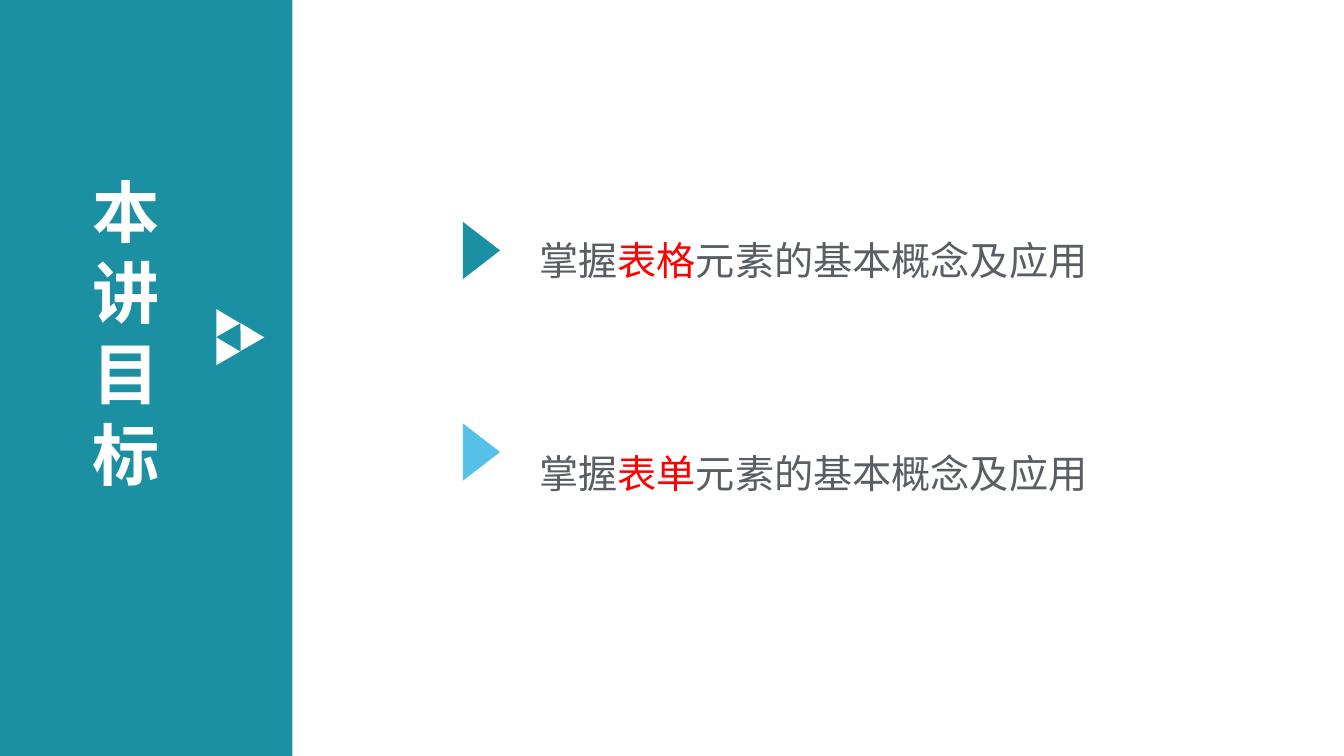
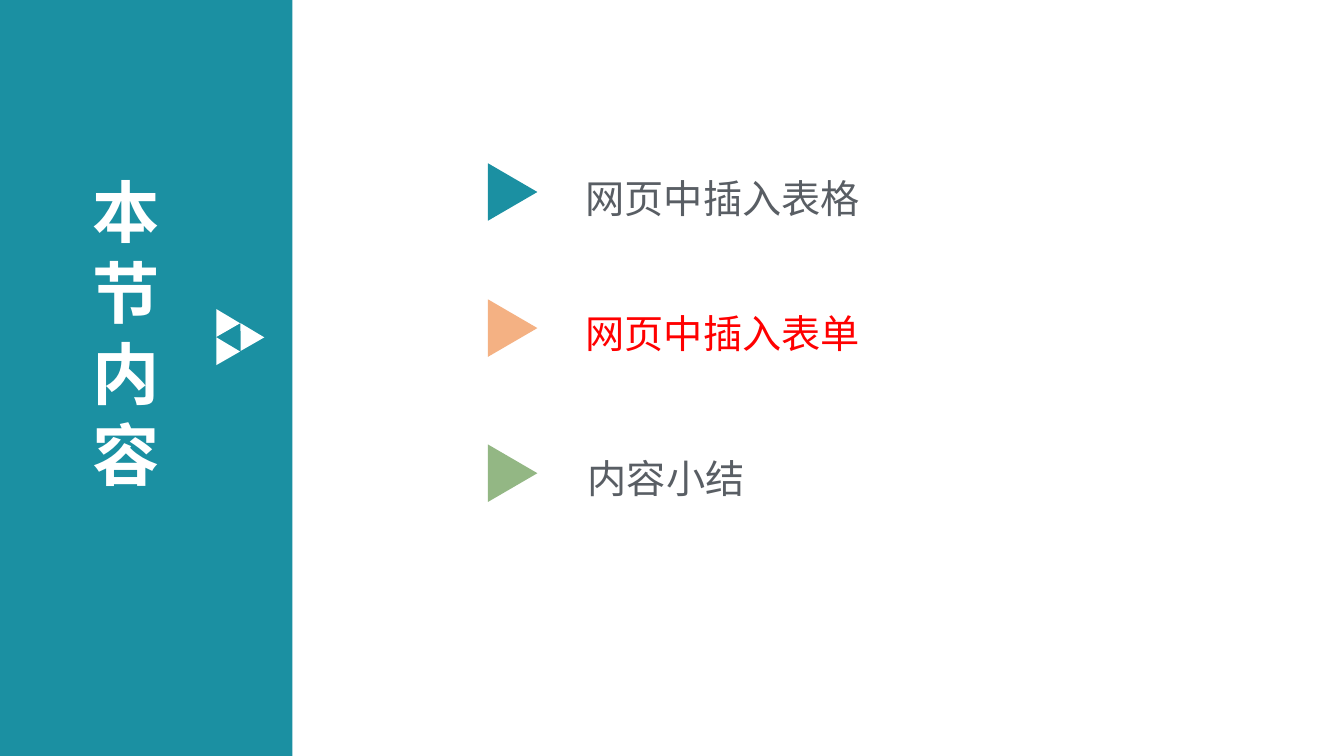
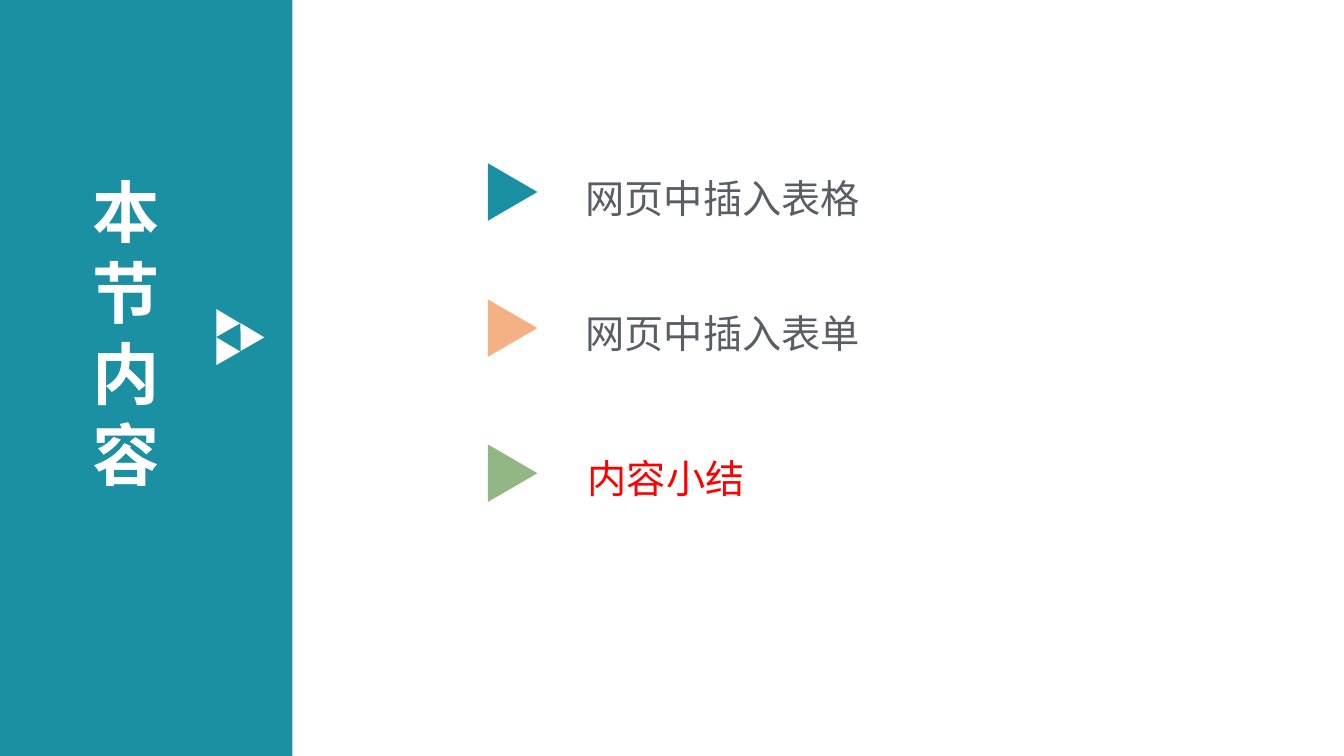
import pptx
import pptx.util
import pptx.dml.color
import pptx.enum.shapes
import pptx.enum.text
import pptx.oxml.ns
from lxml import etree

PX = 9144  # 100 px to the inch
FONT = "Noto Sans CJK SC"
TEAL, SKY, ORANGE, GREEN = "1B90A2", "55C1E7", "F4B183", "93B784"
WHITE, GREY, RED = "FFFFFF", "595E64", "FF0000"
SHAPE = pptx.enum.shapes.MSO_SHAPE


def px(*lengths):
    return [pptx.util.Emu(n * PX) for n in lengths]


def rgb(value):
    return pptx.dml.color.RGBColor.from_string(value)


def set_text(sp, runs, size=28, bold=False, line=36, inset=(10, 5)):
    """Fill sp with one paragraph of (text, colour) runs; line is the pitch in points."""
    tf = sp.text_frame
    tf.word_wrap = True
    tf.auto_size = pptx.enum.text.MSO_AUTO_SIZE.NONE
    tf.vertical_anchor = pptx.enum.text.MSO_ANCHOR.TOP
    tf.margin_left, tf.margin_top = tf.margin_right, tf.margin_bottom = px(*inset)
    p = tf.paragraphs[0]
    p.alignment = pptx.enum.text.PP_ALIGN.LEFT
    p.line_spacing = pptx.util.Pt(line)
    for text, colour in runs:
        r = p.add_run()
        r.text = text
        r.font.size = pptx.util.Pt(size)
        r.font.bold = bold
        r.font.color.rgb = rgb(colour)
        r.font.name = FONT
        ea = etree.SubElement(r._r.get_or_add_rPr(), pptx.oxml.ns.qn("a:ea"))
        ea.set("typeface", FONT)


def add_text(s, box, runs, **fmt):
    set_text(s.shapes.add_textbox(*px(*box)), runs, **fmt)


def add_shape(s, kind, box, colour, rotation=0):
    sp = s.shapes.add_shape(kind, *px(*box))
    sp.shadow.inherit = False
    sp.fill.solid()
    sp.fill.fore_color.rgb = rgb(colour)
    sp.line.fill.background()
    sp.rotation = rotation


def add_marker(s, left, top, height, colour):
    """Triangle pointing right; box is given before its quarter turn."""
    add_shape(s, SHAPE.ISOSCELES_TRIANGLE, (left, top, 57, height), colour, 90)


def add_side_slide(prs, title, title_width):
    """Slide with the teal side panel, its title and the three small triangles."""
    s = prs.slides.add_slide(prs.slide_layouts[5])
    add_shape(s, SHAPE.RECTANGLE, (-6, -3, 296, 756), TEAL)
    heading = s.shapes.title
    s.shapes.element.append(heading.element)  # bring in front of the panel
    heading.left, heading.top, heading.width, heading.height = px(82, 163, title_width, 333)
    set_text(heading, [(title, WHITE)], size=48, bold=True, line=58)
    for left, top in ((207, 305), (207, 333), (231, 319)):
        add_shape(s, SHAPE.ISOSCELES_TRIANGLE, (left, top, 27, 24), WHITE, 330.2)
    return s


def add_goals(prs):
    s = add_side_slide(prs, "本讲目标", 131)
    goals = (("表格", TEAL, 230, 201), ("表单", SKY, 430, 412))
    for topic, colour, marker_top, text_top in goals:
        add_marker(s, 449, marker_top, 37, colour)
        runs = [("掌握", GREY), (topic, RED), ("元素的基本概念及应用", GREY)]
        add_text(s, (525, text_top, 572, 81), runs, line=54)


def add_contents(prs, current):
    """Contents slide with the current entry in red."""
    s = add_side_slide(prs, "本节内容", 92)
    entries = (
        ("网页中插入表格", TEAL, 166, (571, 165, 324, 57), (10, 5)),
        ("网页中插入表单", ORANGE, 301, (571, 299, 330, 57), (10, 5)),
        ("内容小结", GREEN, 445, (571, 441, 486, 59), (12, 6)),
    )
    for i, (text, colour, marker_top, box, inset) in enumerate(entries):
        add_marker(s, 480, marker_top, 49, colour)
        add_text(s, box, [(text, RED if i == current else GREY)], inset=inset)


def main():
    prs = pptx.Presentation()
    prs.slide_width, prs.slide_height = px(1333, 750)
    add_goals(prs)
    for current in (1, 2):
        add_contents(prs, current)
    prs.save("out.pptx")


if __name__ == "__main__":
    main()
